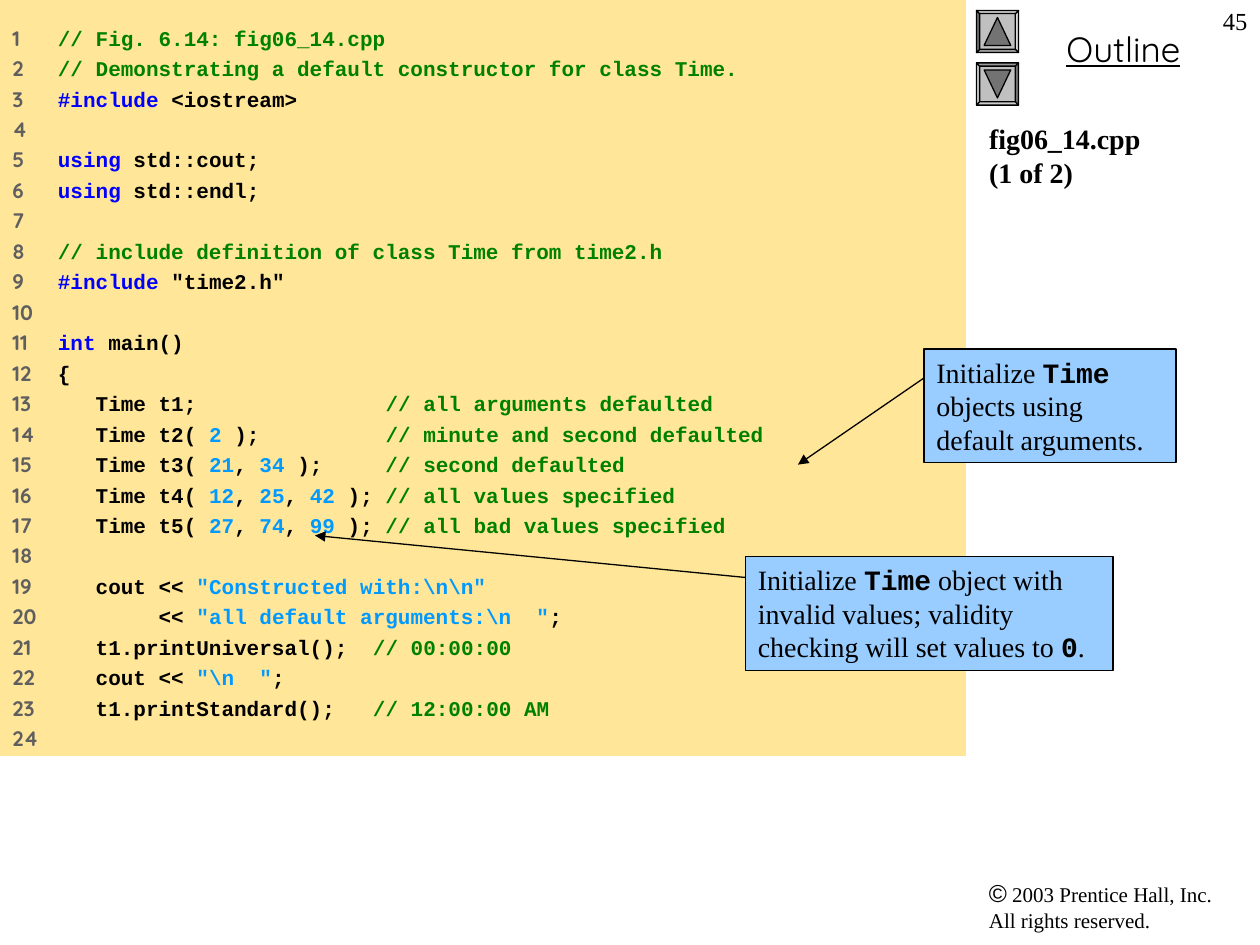
from dataclasses import dataclass

from lxml import etree
from pptx import Presentation
from pptx import util as u
from pptx.dml.color import RGBColor
from pptx.enum import shapes, text
from pptx.oxml import ns


@dataclass(frozen=True)
class Theme:
    serif: str = "Times New Roman"
    mono: str = "Courier New"
    display: str = "Quicksand"
    symbol: str = "Arial"
    ink: str = "000000"
    paper: str = "FFE699"
    note: str = "99CCFF"
    number: str = "5F5F5F"
    keyword: str = "0000FF"
    comment: str = "008000"
    value: str = "0099FF"
    face: str = "C0C0C0"
    arrow: str = "737373"
    bevels: tuple = ("D9D9D9", "9A9A9A", "737373", "CDCDCD")
    code_size: float = 12
    small_size: float = 12
    page_size: float = 14
    note_size: float = 16
    outline_size: float = 20
    hairline: float = 0.75


THEME = Theme()

# Each piece of code opens with a key: k keyword, c comment, v value, p plain
CODE = r"""c// Fig. 6.14: fig06_14.cpp
c// Demonstrating a default constructor for class Time.
k#include|p <iostream>

kusing|p std::cout;
kusing|p std::endl;

c// include definition of class Time from time2.h
k#include|p "time2.h"

kint|p main()
p{
p   Time t1;               |c// all arguments defaulted
p   Time t2( |v2|p );          |c// minute and second defaulted
p   Time t3( |v21|p, |v34|p );     |c// second defaulted
p   Time t4( |v12|p, |v25|p, |v42|p ); |c// all values specified
p   Time t5( |v27|p, |v74|p, |v99|p ); |c// all bad values specified

p   cout << |v"Constructed with:\n\n"
p        << |v"all default arguments:\n  "|p;
p   t1.printUniversal();  |c// 00:00:00
p   cout <<|v "\n  "|p;
p   t1.printStandard();   |c// 12:00:00 AM
""".split("\n")


class SlideBuilder:
    def __init__(self, slide, theme):
        self.slide, self.theme = slide, theme

    def apply(self, target, formats):
        for name, value in formats.items():
            setattr(target, name, value)

    def paint(self, shape, fill, line=None):
        shape.shadow.inherit = False
        shape.fill.solid()
        shape.fill.fore_color.rgb = RGBColor.from_string(fill)
        if line:
            shape.line.color.rgb = RGBColor.from_string(line)
            shape.line.width = u.Pt(self.theme.hairline)
        else:
            shape.line.fill.background()

    def frame(self, shape, top=3.6):
        self.apply(shape.text_frame, dict(
            word_wrap=True, auto_size=text.MSO_AUTO_SIZE.NONE,
            vertical_anchor=text.MSO_ANCHOR.TOP,
            margin_left=u.Pt(7.2), margin_right=u.Pt(7.2),
            margin_top=u.Pt(top), margin_bottom=u.Pt(top)))
        return shape.text_frame

    def add_words(self, paragraph, pieces, align=text.PP_ALIGN.LEFT):
        """Each piece is (words, font name, size, colour, extra formats)."""
        paragraph.alignment = align
        for words, name, size, colour, extra in pieces:
            for index, line in enumerate(words.split("\n")):
                if index:
                    paragraph.add_line_break()
                run = paragraph.add_run()
                run.text = line
                self.apply(run.font, dict(name=name, size=u.Pt(size), **extra))
                run.font.color.rgb = RGBColor.from_string(colour)

    def title(self, box, pieces):
        heading = self.slide.shapes.title
        self.apply(heading, dict(zip(("left", "top", "width", "height"), map(u.Pt, box))))
        self.add_words(self.frame(heading).paragraphs[0], pieces)

    def label(self, box, pieces, align=text.PP_ALIGN.LEFT):
        area = self.slide.shapes.add_textbox(*map(u.Pt, box))
        self.add_words(self.frame(area).paragraphs[0], pieces, align)

    def panel(self, box, fill, line=None):
        area = self.slide.shapes.add_shape(shapes.MSO_SHAPE.RECTANGLE, *map(u.Pt, box))
        self.paint(area, fill, line)
        return area

    def note(self, box, pieces):
        area = self.panel(box, self.theme.note, self.theme.ink)
        self.add_words(self.frame(area).paragraphs[0], pieces)

    def listing(self, box, lines, gutter=26):
        t = self.theme
        colours = dict(k=t.keyword, c=t.comment, v=t.value, p=t.ink)
        frame = self.frame(self.panel(box, t.paper), top=14.4)
        for number, line in enumerate(lines, 1):
            row = frame.paragraphs[0] if number == 1 else frame.add_paragraph()
            tabs = etree.SubElement(row._p.get_or_add_pPr(), ns.qn("a:tabLst"))
            etree.SubElement(tabs, ns.qn("a:tab"), pos=str(u.Pt(gutter)), algn="l")
            self.apply(row, dict(line_spacing=u.Pt(14.4),
                                 space_before=u.Pt(3 if number > 1 else 0)))
            bold = dict(bold=True)
            pieces = [(f"{number}\t" if line else str(number),
                       t.display, t.code_size, t.number, bold)]
            pieces += [(part[1:], t.mono, t.code_size, colours[part[0]], bold)
                       for part in line.split("|") if part]
            self.add_words(row, pieces)

    def polygon(self, points, fill):
        pen = self.slide.shapes.build_freeform(*map(u.Pt, points[0]))
        pen.add_line_segments([tuple(map(u.Pt, p)) for p in points[1:]], close=True)
        self.paint(pen.convert_to_shape(), fill, self.theme.ink)

    def button(self, x, y, first_corner, direction):
        """Bevelled button; direction is -1 for up, 1 for down."""
        signs = [(-1, -1), (1, -1), (1, 1), (-1, 1)]
        signs = signs[first_corner:] + signs[:first_corner]
        outer, inner = ([(x + r * sx, y + r * sy) for sx, sy in signs] for r in (12, 10.2))
        self.polygon(outer, self.theme.face)
        for side, shade in enumerate(self.theme.bevels):
            after = (side + 1) % 4
            self.polygon([outer[side], outer[after], inner[after], inner[side]], shade)
        base = y - 8 * direction
        self.polygon([(x, y + 8 * direction), (x - 7.6, base), (x + 7.6, base)],
                     self.theme.arrow)

    def pointer(self, start, end):
        line = self.slide.shapes.add_connector(
            shapes.MSO_CONNECTOR.STRAIGHT, *map(u.Pt, start + end))
        line.line.color.rgb = RGBColor.from_string(self.theme.ink)
        line.line.width = u.Pt(self.theme.hairline)
        etree.SubElement(line.line._get_or_add_ln(), ns.qn("a:tailEnd"), type="triangle")
        etree.SubElement(line._element.spPr, ns.qn("a:effectLst"))


def main():
    deck = Presentation()
    deck.slide_width, deck.slide_height = u.Pt(720), u.Pt(540)
    t = THEME
    page = SlideBuilder(deck.slides.add_slide(deck.slide_layouts[5]), t)

    def prose(words, size=t.note_size, **extra):
        return words, t.serif, size, t.ink, extra

    def term(words):
        return words, t.mono, t.note_size, t.ink, dict(bold=True)

    # Side column: copyright, outline heading, buttons, page number, file name
    page.label((558, 498, 156, 39), [
        ("©", t.symbol, 14, t.ink, {}),
        prose(" 2003 Prentice Hall, Inc.\nAll rights reserved.", t.small_size)])
    page.label((564, 12, 156, 32),
               [("Outline", t.display, t.outline_size, t.ink, dict(underline=True))],
               text.PP_ALIGN.CENTER)
    page.button(570, 18, first_corner=1, direction=-1)
    page.button(570, 48, first_corner=3, direction=1)
    page.label((684, 0, 36, 36), [prose("45", t.page_size)], text.PP_ALIGN.RIGHT)
    page.title((558, 66, 162, 378), [prose("fig06_14.cpp\n(1 of 2)", bold=True)])

    # Program listing
    page.listing((0, 0, 552, 432), CODE)

    # Notes with pointers into the code
    page.note((528, 199.5, 144, 65), [
        prose("Initialize "), term("Time "), prose("objects using default arguments.")])
    page.pointer((528, 216), (456, 265.5))
    page.note((426, 318, 210, 65), [
        prose("Initialize "), term("Time"),
        prose(" object with invalid values; validity checking will set values to "),
        term("0"), prose(".")])
    page.pointer((426, 330), (180, 306))

    deck.save("out.pptx")


if __name__ == "__main__":
    main()
